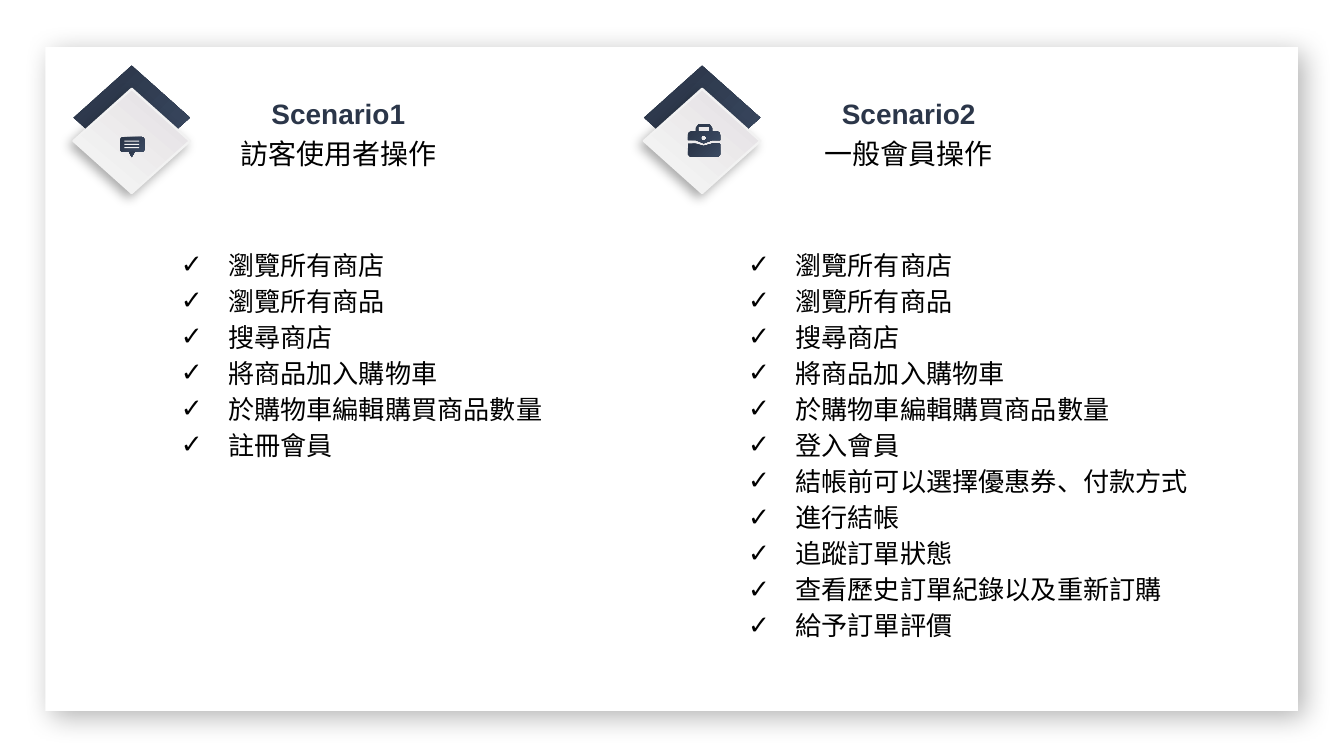
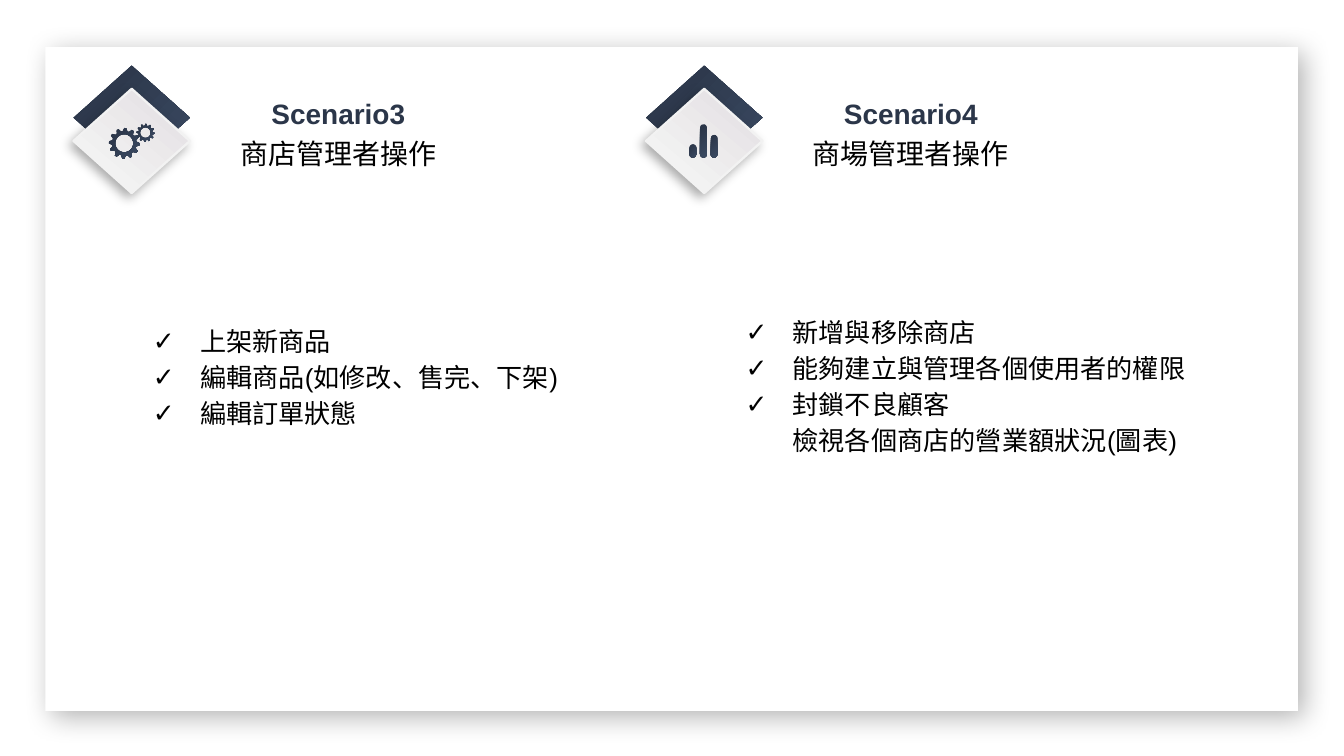
from math import cos, pi, sin

from pptx import Presentation
from pptx.dml.color import RGBColor
from pptx.enum.shapes import MSO_SHAPE
from pptx.enum.text import MSO_ANCHOR, MSO_AUTO_SIZE, PP_ALIGN
from pptx.oxml import parse_xml
from pptx.oxml.ns import nsdecls, qn
from pptx.util import Cm, Pt

RECT, ROUND, DIAMOND = MSO_SHAPE.RECTANGLE, MSO_SHAPE.ROUNDED_RECTANGLE, MSO_SHAPE.DIAMOND
TOP, NO_FIT = MSO_ANCHOR.TOP, MSO_AUTO_SIZE.NONE
CENTER, LEFT = PP_ALIGN.CENTER, PP_ALIGN.LEFT

WHITE, BLACK, NAVY, PALE = "FFFFFF", "000000", "2B3649", "F2F2F2"
NAVY_GRAD = ([(0, NAVY), (11, NAVY), (100, "3B4A62")], 45)
TILE_GRAD = ([(0, "E2DDE1"), (76, PALE), (100, PALE)], 130)
CARD_SHADOW, TILE_SHADOW = (30, 15, 5, 45), (32, 6, 3, 135)
CARD = (0.86, 0.89, 23.67, 12.55)
CHECK = "✓"

SHOPPING = ["瀏覽所有商店", "瀏覽所有商品", "搜尋商店", "將商品加入購物車", "於購物車編輯購買商品數量"]

SLIDES = [
    [
        dict(x=1.39, icon="bubble", title="Scenario1", role="訪客使用者操作",
             box=(2.79, 4.37, 8.23, 6.1), items=SHOPPING + ["註冊會員"]),
        dict(x=12.17, icon="briefcase", title="Scenario2", role="一般會員操作",
             box=(13.51, 4.37, 10.31, 7.7),
             items=SHOPPING + ["登入會員", "結帳前可以選擇優惠券、付款方式", "進行結帳",
                               "追蹤訂單狀態", "查看歷史訂單紀錄以及重新訂購", "給予訂單評價"]),
    ],
    [
        dict(x=1.39, icon="gears", title="Scenario3", role="商店管理者操作",
             box=(2.26, 5.82, 9.63, 6.1),
             items=["上架新商品", "編輯商品(如修改、售完、下架)", "編輯訂單狀態"]),
        dict(x=12.21, icon="bars", title="Scenario4", role="商場管理者操作",
             box=(13.46, 5.64, 10.34, 6.1),
             items=["新增與移除商店", "能夠建立與管理各個使用者的權限", "封鎖不良顧客"],
             plain=["檢視各個商店的營業額狀況(圖表)"]),
    ],
]

CASE_BASE = [(0, 0.36), (0.13, 0.36), (0.3, 0.41), (0.48, 0.36), (0.61, 0.36),
             (0.61, 0.57), (0.57, 0.61), (0.04, 0.61), (0, 0.57)]
CASE_LID = [(0, 0.3), (0, 0.2), (0.02, 0.15), (0.07, 0.13), (0.15, 0.13), (0.15, 0.07),
            (0.2, 0), (0.41, 0), (0.46, 0.07), (0.46, 0.13), (0.54, 0.13), (0.59, 0.15),
            (0.61, 0.2), (0.61, 0.3), (0.46, 0.3), (0.3, 0.36), (0.15, 0.3)]
CASE_HANDLE = [(0.2, 0.13), (0.2, 0.05), (0.41, 0.05), (0.41, 0.13)]


def rgb(color):
    return RGBColor.from_string(color)


def cms(values):
    return [Cm(v) for v in values]


def style(sp, fill, line=None, shadow=None):
    sp.shadow.inherit = False
    if line:
        sp.line.color.rgb = rgb(line)
        sp.line.width = Pt(1.25)
    else:
        sp.line.fill.background()
    if isinstance(fill, str):
        sp.fill.solid()
        sp.fill.fore_color.rgb = rgb(fill)
    else:
        stops, angle = fill
        gs = "".join(f'<a:gs pos="{pos * 1000}"><a:srgbClr val="{c}"/></a:gs>' for pos, c in stops)
        sp.element.spPr.insert(2, parse_xml(
            f'<a:gradFill {nsdecls("a")} rotWithShape="1"><a:gsLst>{gs}</a:gsLst>'
            f'<a:lin ang="{angle * 60000}" scaled="0"/></a:gradFill>'))
    if shadow:
        alpha, blur, dist, angle = shadow
        sp.element.spPr.find(qn("a:effectLst")).append(parse_xml(
            f'<a:outerShdw {nsdecls("a")} blurRad="{Pt(blur)}" dist="{Pt(dist)}" '
            f'dir="{angle * 60000}" algn="ctr" rotWithShape="0"><a:srgbClr val="{BLACK}">'
            f'<a:alpha val="{alpha * 1000}"/></a:srgbClr></a:outerShdw>'))


def add_preset(s, kind, box, fill, **kw):
    sp = s.shapes.add_shape(kind, *cms(box))
    style(sp, fill, **kw)
    return sp


def add_outline(s, x, y, *contours):
    placed = [[(Cm(x + px), Cm(y + py)) for px, py in c] for c in contours]
    builder = s.shapes.build_freeform(*placed[0][0])
    builder.add_line_segments(placed[0][1:])
    for hole in placed[1:]:
        builder.move_to(*hole[0])
        builder.add_line_segments(hole[1:])
    style(builder.convert_to_shape(), NAVY_GRAD)


def ring(radii, x=0, y=0):
    step = 2 * pi / len(radii)
    return [(x + r * cos(i * step), y + r * sin(i * step)) for i, r in enumerate(radii)]


def draw_bubble(s, cx):
    sp = add_preset(s, ROUND, (cx - 0.22, 2.59, 0.46, 0.28), NAVY_GRAD)
    sp.adjustments[0] = 0.17
    for i in range(3):
        add_preset(s, RECT, (cx - 0.14, 2.66 + i * 0.06, 0.28, 0.02), PALE)
    add_outline(s, cx, 2.87, [(-0.06, 0), (0.06, 0), (0, 0.1)])


def draw_briefcase(s, cx):
    add_outline(s, cx - 0.27, 2.35, CASE_BASE)
    add_outline(s, cx - 0.27, 2.35, CASE_LID, CASE_HANDLE, ring([0.05] * 16, 0.3, 0.26))


def draw_gears(s, cx):
    for dx, y, tip, root, hole in ((-0.14, 2.71, 0.29, 0.23, 0.17), (0.26, 2.51, 0.17, 0.13, 0.1)):
        add_outline(s, cx + dx, y, ring([tip, tip, root, root] * 12), ring([hole] * 32))


def draw_bars(s, cx):
    for i, h in enumerate((0.25, 0.63, 0.43)):
        sp = add_preset(s, ROUND, (cx - 0.28 + i * 0.2, 2.98 - h, 0.13, h), NAVY_GRAD)
        sp.adjustments[0] = 0.5


ICONS = dict(bubble=draw_bubble, briefcase=draw_briefcase, gears=draw_gears, bars=draw_bars)


def fill_text(sp, box, lines, margin_y):
    sp.left, sp.top, sp.width, sp.height = cms(box)
    tf = sp.text_frame
    tf.text = "\n".join(lines)
    tf.word_wrap = True
    tf.auto_size = NO_FIT
    tf.vertical_anchor = TOP
    tf.margin_left = tf.margin_right = Cm(0.25)
    tf.margin_top = tf.margin_bottom = Cm(margin_y)
    return tf.paragraphs


def format_paragraph(p, size, color, spacing, align, font="Arial", bold=False, bullet=None, indent=(0, 0)):
    pPr = p._p.get_or_add_pPr()
    pPr.set("marL", str(Cm(indent[0])))
    pPr.set("indent", str(Cm(indent[1])))
    if bullet:
        pPr.append(parse_xml(f'<a:buClr {nsdecls("a")}><a:srgbClr val="{BLACK}"/></a:buClr>'))
        pPr.append(parse_xml(f'<a:buFont {nsdecls("a")} typeface="Arial"/>'))
        pPr.append(parse_xml(f'<a:buChar {nsdecls("a")} char="{bullet}"/>'))
    else:
        pPr.append(parse_xml(f'<a:buNone {nsdecls("a")}/>'))
    p.alignment = align
    p.line_spacing = spacing
    p.space_before = Pt(0)
    for r in p.runs:
        r.font.size = Pt(size)
        r.font.name = font
        r.font.bold = bold
        r.font.color.rgb = rgb(color)


def add_scenario(s, head, body, sc):
    x, cx = sc["x"], sc["x"] + 1.1
    add_preset(s, DIAMOND, (x, 1.24, 2.2, 1.97), NAVY_GRAD)
    add_preset(s, DIAMOND, (x, 1.68, 2.2, 1.97), TILE_GRAD, line=PALE, shadow=TILE_SHADOW)
    ICONS[sc["icon"]](s, cx)

    title, role = fill_text(head, (x + 2.34, 1.57, 5.33, 1.8), [sc["title"], sc["role"]], 0.13)
    format_paragraph(title, 15, NAVY, 1.2, CENTER, bold=True)
    format_paragraph(role, 15, BLACK, 1.2, CENTER, font="Calibri")

    items = sc["items"]
    for i, p in enumerate(fill_text(body, sc["box"], items + sc.get("plain", []), 0.25)):
        checked = i < len(items)
        format_paragraph(p, 14, BLACK, 1.15, LEFT, bullet=CHECK if checked else None,
                         indent=(1.27, -0.89 if checked else 0))


def main():
    prs = Presentation()
    prs.slide_width, prs.slide_height = Cm(25.4), Cm(14.29)
    layout = prs.slide_layouts.get_by_name("Comparison")
    for n, scenarios in enumerate(SLIDES):
        s = prs.slides.add_slide(layout)
        if n == 0:
            card = add_preset(s, RECT, CARD, WHITE, shadow=CARD_SHADOW)
            layout.shapes.element.insert(2, card.element)
        title = s.shapes.title.element
        title.getparent().remove(title)
        holders = {ph.placeholder_format.idx: ph for ph in s.placeholders}
        for i, sc in enumerate(scenarios):
            add_scenario(s, holders[2 * i + 1], holders[2 * i + 2], sc)
    prs.save("out.pptx")


if __name__ == "__main__":
    main()
